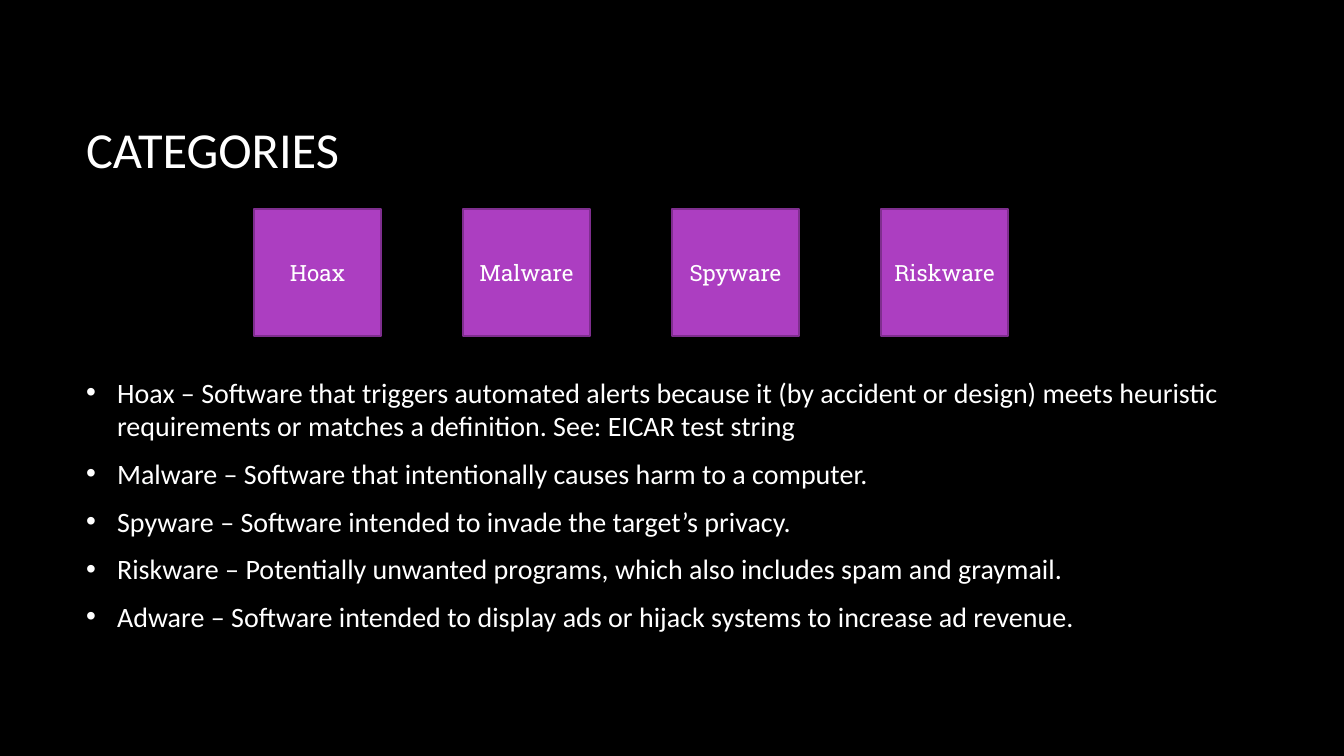
from lxml.etree import SubElement
from pptx import Presentation
from pptx.dml.color import RGBColor
from pptx.enum.shapes import MSO_SHAPE
from pptx.enum.text import MSO_ANCHOR, PP_ALIGN
from pptx.oxml.ns import qn
from pptx.util import Emu, Pt

TITLE = "CATEGORIES"
CATEGORIES = ["Hoax", "Malware", "Spyware", "Riskware"]
DEFINITIONS = [
    "Hoax – Software that triggers automated alerts because it (by accident or design) "
    "meets heuristic requirements or matches a definition. See: EICAR test string",
    "Malware – Software that intentionally causes harm to a computer.",
    "Spyware – Software intended to invade the target’s privacy.",
    "Riskware – Potentially unwanted programs, which also includes spam and graymail.",
    "Adware – Software intended to display ads or hijack systems to increase ad revenue.",
]

BLACK, WHITE, PURPLE, DARK_PURPLE = "000000", "FFFFFF", "AC3EC1", "7F2E8F"
TITLE_BOX = (76, 68, 1117, 160)
BODY_BOX = (76, 336, 1184, 336)
SQUARE_LEFT, SQUARE_TOP, SQUARE_SIZE, SQUARE_PITCH = 254, 209, 127, 209
BULLET_INDENT = 31


def px(length):
    return Emu(round(length * 914400 / 100.8))


def color(value):
    return RGBColor.from_string(value)


def place(shape, box):
    shape.left, shape.top, shape.width, shape.height = map(px, box)


def format_text(text_frame, font_name, size, alignment):
    text_frame.word_wrap = True
    text_frame.vertical_anchor = MSO_ANCHOR.MIDDLE
    for paragraph in text_frame.paragraphs:
        paragraph.alignment = alignment
        for run in paragraph.runs:
            run.font.name = font_name
            run.font.size = Pt(size)
            run.font.color.rgb = color(WHITE)


def add_bullet(paragraph):
    properties = paragraph._p.get_or_add_pPr()
    properties.set("marL", str(px(BULLET_INDENT)))
    properties.set("indent", str(-px(BULLET_INDENT)))
    bullet_color = SubElement(properties, qn("a:buClr"))
    SubElement(bullet_color, qn("a:srgbClr"), val=WHITE)
    SubElement(properties, qn("a:buFont"), typeface="Arial")
    SubElement(properties, qn("a:buChar"), char="•")


def add_category(slide, index, name):
    left = SQUARE_LEFT + index * SQUARE_PITCH
    box = (left, SQUARE_TOP, SQUARE_SIZE, SQUARE_SIZE)
    square = slide.shapes.add_shape(MSO_SHAPE.RECTANGLE, *map(px, box))
    square.shadow.inherit = False
    square.fill.solid()
    square.fill.fore_color.rgb = color(PURPLE)
    square.line.color.rgb = color(DARK_PURPLE)
    square.line.width = Pt(1.5)
    square.text_frame.text = name
    format_text(square.text_frame, "Roboto Slab", 16, PP_ALIGN.CENTER)


def main():
    presentation = Presentation()
    presentation.slide_width, presentation.slide_height = px(1344), px(756)
    slide = presentation.slides.add_slide(presentation.slide_layouts[1])
    slide.background.fill.solid()
    slide.background.fill.fore_color.rgb = color(BLACK)

    title = slide.shapes.title
    place(title, TITLE_BOX)
    title.text_frame.text = TITLE
    format_text(title.text_frame, "Calibri", 36, PP_ALIGN.LEFT)

    body = slide.placeholders[1]
    place(body, BODY_BOX)
    body.text_frame.text = "\n".join(DEFINITIONS)
    format_text(body.text_frame, "Calibri", 20, PP_ALIGN.LEFT)
    for paragraph in body.text_frame.paragraphs:
        paragraph.space_before = Pt(0)
        paragraph.space_after = Pt(10)
        add_bullet(paragraph)

    for index, name in enumerate(CATEGORIES):
        add_category(slide, index, name)

    presentation.save("out.pptx")


if __name__ == "__main__":
    main()
